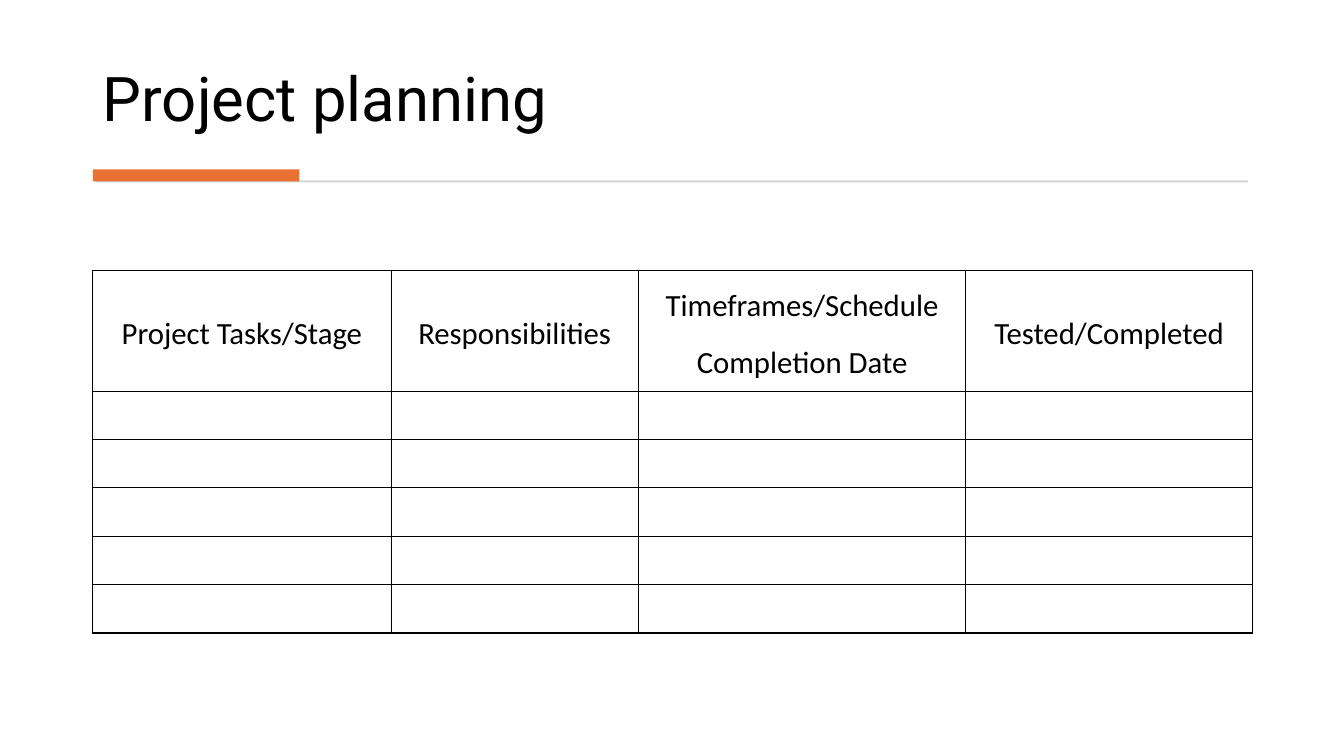
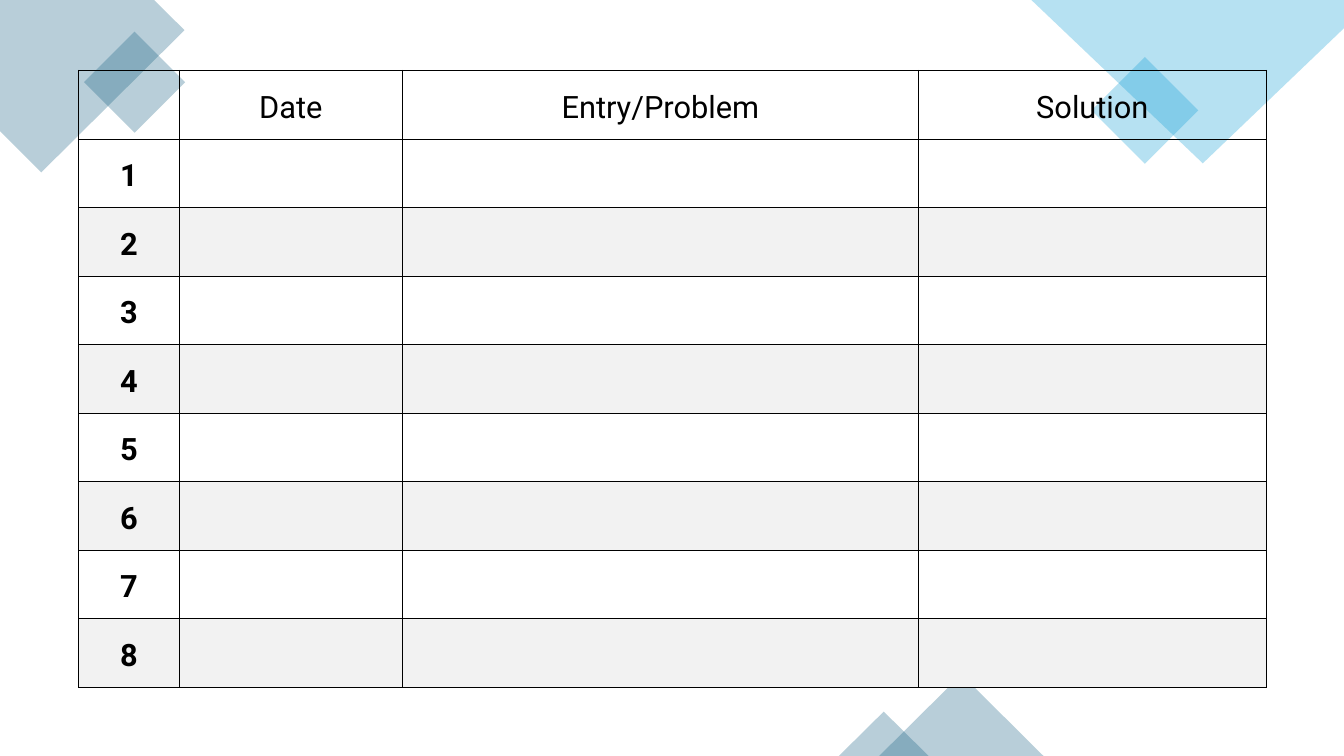
from dataclasses import dataclass

from lxml.etree import SubElement as Sub
from pptx import Presentation
from pptx.dml.color import RGBColor as RGB
from pptx.enum.shapes import MSO_SHAPE as Kind
from pptx.enum.text import MSO_ANCHOR as Anchor, MSO_AUTO_SIZE as Auto, PP_ALIGN as Align
from pptx.oxml.ns import qn
from pptx.util import Inches, Pt


@dataclass(frozen=True)
class Theme:
    ink: str = "000000"
    rule: str = "D5D5D5"
    accent: str = "E97132"
    teal: str = "156082"
    sky: str = "0F9ED5"
    band: str = "F2F2F2"
    head: str = "Roboto"
    body: str = "Calibri"
    title: int = 44
    text: int = 22
    border: int = 1
    alpha: int = 30


T = Theme()

PLAN = {
    "title": "Project planning",
    "rows": [
        [["Project Tasks/Stage"], ["Responsibilities"],
         ["Timeframes/Schedule", "Completion Date"], ["Tested/Completed"]],
    ] + [[[]] * 4] * 5,
    "at": (0.92, 2.68),
    "cols": [2.96, 2.45, 3.25, 2.84],
    "heights": [1.2] + [0.48] * 5,
    "pad": (0.14, 0.02, 0.14, 0),
    "font": T.body,
}
BARS = [
    ((0.95, 1.79, 11.43, 0.02), T.rule),
    ((0.92, 1.68, 2.05, 0.12), T.accent),
]

LOG = {
    "rows": [[[], ["Date"], ["Entry/Problem"], ["Solution"]]]
    + [[[str(n)], [], [], []] for n in range(1, 9)],
    "at": (0.78, 0.7),
    "cols": [1, 2.21, 5.12, 3.45],
    "heights": [0.68] * 9,
    "pad": (0.12, 0.11, 0.12, 0.11),
    "font": T.head,
    "band": T.band,
}
CORNERS = [
    ([(0, 0), (1.53, 0), (1.83, 0.3), (0.41, 1.71), (0, 1.3)], T.teal),
    ([(10.23, 0), (13.33, 0), (13.33, 0.28), (11.93, 1.62)], T.sky),
]
TILES = [
    (Kind.RECTANGLE, (0.98, 0.46, 0.71, 0.71), T.teal, 315),
    (Kind.RECTANGLE, (10.98, 0.72, 0.75, 0.75), T.sky, 315),
    (Kind.ISOSCELES_TRIANGLE, (8.72, 6.69, 1.63, 0.81), T.teal, 0),
    (Kind.ISOSCELES_TRIANGLE, (8.32, 7.06, 0.89, 0.44), T.teal, 0),
]


def color(code):
    return RGB.from_string(code)


def write(par, text, font, size, bold=False):
    run = par.add_run()
    run.text = text
    run.font.name = font
    run.font.size = Pt(size)
    run.font.bold = bold
    run.font.color.rgb = color(T.ink)


def paint(shape, code, alpha=100):
    shape.shadow.inherit = False
    shape.line.fill.background()
    shape.fill.solid()
    shape.fill.fore_color.rgb = color(code)
    if alpha < 100:
        tint = shape.element.find(".//" + qn("a:srgbClr"))
        Sub(tint, qn("a:alpha"), val=str(alpha * 1000))


def put(slide, kind, box, code, alpha=100, turn=0):
    shape = slide.shapes.add_shape(kind, *map(Inches, box))
    shape.rotation = turn
    paint(shape, code, alpha)


def trace(slide, points, code):
    spots = [(Inches(x), Inches(y)) for x, y in points]
    pen = slide.shapes.build_freeform(*spots[0])
    pen.add_line_segments(spots[1:], close=True)
    paint(pen.convert_to_shape(), code, T.alpha)


def frame(cell):
    props = cell._tc.get_or_add_tcPr()
    for side in ("lnL", "lnR", "lnT", "lnB"):
        line = Sub(props, qn("a:" + side), w=str(Pt(T.border)))
        fill = Sub(line, qn("a:solidFill"))
        Sub(fill, qn("a:srgbClr"), val=T.ink)


def fill_cell(cell, lines, data, bold):
    cell.vertical_anchor = Anchor.MIDDLE
    (cell.margin_left, cell.margin_top,
     cell.margin_right, cell.margin_bottom) = map(Inches, data["pad"])
    for i, text in enumerate(lines):
        box = cell.text_frame
        par = box.add_paragraph() if i else box.paragraphs[0]
        par.alignment = Align.CENTER
        par.line_spacing = 1.15
        par.space_after = Pt(10)
        write(par, text, data["font"], T.text, bold)


def add_grid(slide, data):
    cols, heights = data["cols"], data["heights"]
    size = (*data["at"], sum(cols), sum(heights))
    grid = slide.shapes.add_table(len(heights), len(cols), *map(Inches, size)).table
    grid.first_row = grid.horz_banding = False
    for col, width in zip(grid.columns, cols):
        col.width = Inches(width)
    for r, (row, height) in enumerate(zip(grid.rows, heights)):
        row.height = Inches(height)
        for cell, lines in zip(row.cells, data["rows"][r]):
            frame(cell)
            if "band" in data and r and r % 2 == 0:
                cell.fill.solid()
                cell.fill.fore_color.rgb = color(data["band"])
            else:
                cell.fill.background()
            if lines:
                fill_cell(cell, lines, data, bold=r > 0)


def add_title(slide, text):
    title = slide.shapes.title
    title.left, title.top, title.width, title.height = map(
        Inches, (0.92, 0.28, 11.49, 1.11))
    box = title.text_frame
    box.auto_size = Auto.NONE
    box.word_wrap = True
    box.vertical_anchor = Anchor.BOTTOM
    par = box.paragraphs[0]
    par.alignment = Align.LEFT
    par.line_spacing = 0.9
    write(par, text, T.head, T.title)


def add_plan(deck):
    slide = deck.slides.add_slide(deck.slide_layouts[5])
    add_title(slide, PLAN["title"])
    for box, code in BARS:
        put(slide, Kind.RECTANGLE, box, code)
    add_grid(slide, PLAN)


def add_log(deck):
    slide = deck.slides.add_slide(deck.slide_layouts[6])
    for points, code in CORNERS:
        trace(slide, points, code)
    for kind, box, code, turn in TILES:
        put(slide, kind, box, code, T.alpha, turn)
    add_grid(slide, LOG)


def main():
    deck = Presentation()
    deck.slide_width, deck.slide_height = Inches(13.33), Inches(7.5)
    add_plan(deck)
    add_log(deck)
    deck.save("out.pptx")


if __name__ == "__main__":
    main()
